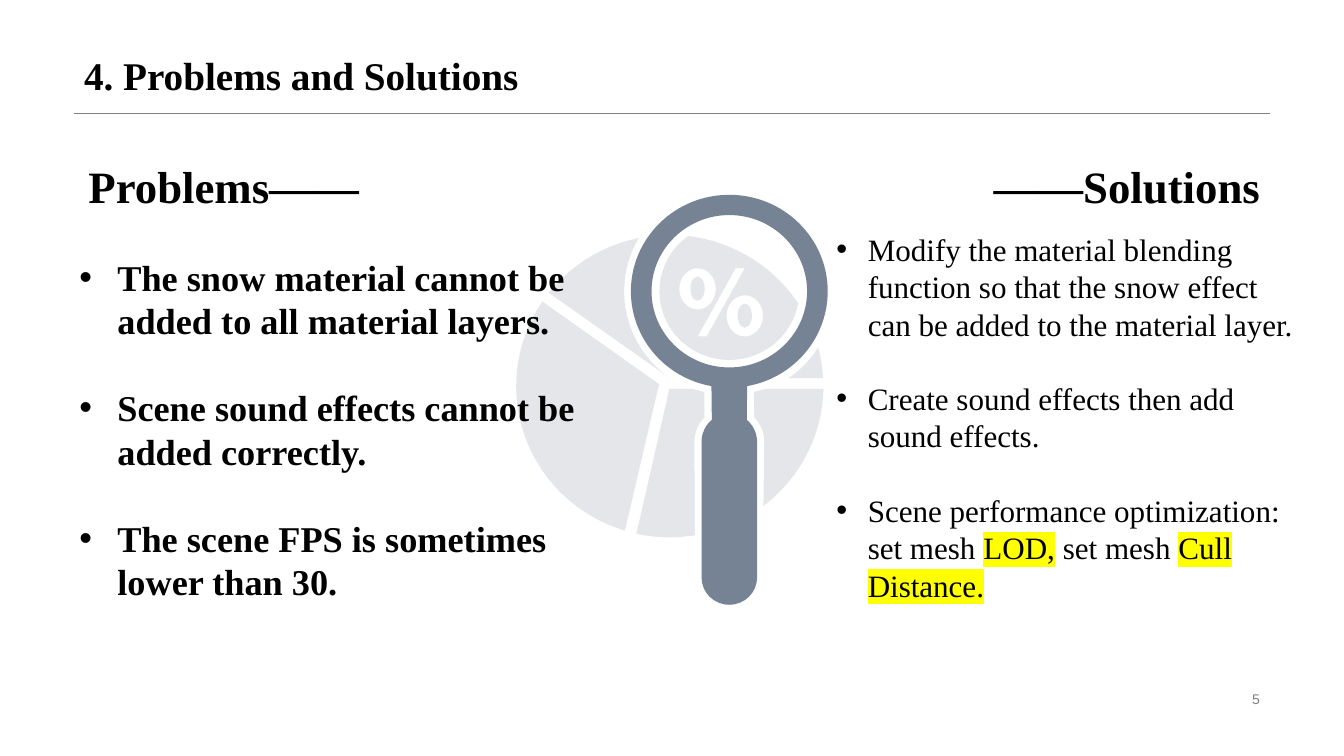
import math
from dataclasses import dataclass, field

import lxml.etree
import pptx
import pptx.dml.color
import pptx.enum.shapes
import pptx.enum.text
import pptx.oxml.ns
import pptx.util

Cm, Pt = pptx.util.Cm, pptx.util.Pt
RGB = pptx.dml.color.RGBColor
qn = pptx.oxml.ns.qn
ALIGN = pptx.enum.text.PP_ALIGN
ANCHOR = pptx.enum.text.MSO_ANCHOR
Point = tuple[float, float]
# A segment holds one point for a line, three for a Bézier curve
Segment = tuple[Point, ...]
Contour = list[Segment]


@dataclass(frozen=True)
class Theme:
    ink: str = "000000"
    grey: str = "808080"
    pale: str = "E4E6EA"
    slate: str = "768394"
    marker: str = "FFFF00"
    serif: str = "Times New Roman"
    sans: str = "Arial"
    title: float = 28
    heading: float = 32
    problem: float = 25.9
    solution: float = 22.2
    number: float = 10


THEME = Theme()


@dataclass(frozen=True)
class Run:
    text: str
    marked: bool = False


@dataclass(frozen=True)
class TextBlock:
    box: tuple[float, float, float, float]
    paragraphs: list[list[Run]]
    font: dict = field(default_factory=dict)
    para: dict = field(default_factory=dict)
    color: str = THEME.ink
    anchor: ANCHOR = ANCHOR.TOP
    indent: float = 0


@dataclass(frozen=True)
class Outline:
    fill: str
    contours: list[Contour]


@dataclass(frozen=True)
class Circle:
    x: float
    y: float
    rx: float
    ry: float

    def at(self, angle: float, pull: float = 0) -> Point:
        """Point at an angle, moved along the tangent by pull."""
        c, s = math.cos(angle), math.sin(angle)
        return self.x + self.rx * (c - pull * s), self.y + self.ry * (s + pull * c)

    def arc(self, start: float, end: float) -> Contour:
        """Curves from start to end, in degrees clockwise, split at each quadrant."""
        low, high = sorted((start, end))
        quadrants = [q for q in range(-360, 361, 90) if low < q < high]
        stops = [low, *quadrants, high]
        if start > end:
            stops.reverse()
        angles = [math.radians(a) for a in stops]
        curves: Contour = [(self.at(angles[0]),)]
        for a, b in zip(angles, angles[1:]):
            pull = 4 / 3 * math.tan((b - a) / 4)
            curves.append((self.at(a, pull), self.at(b, -pull), self.at(b)))
        return curves


def lines(*points: Point) -> Contour:
    return [(p,) for p in points]


def set_format(obj, values: dict) -> None:
    for name, value in values.items():
        setattr(obj, name, value)


def serif(size: float, bold: bool = True) -> dict:
    return {"name": THEME.serif, "size": Pt(size), "bold": bold}


def list_spacing(line: float) -> dict:
    return {"line_spacing": Pt(line), "space_after": Pt(line)}


def add_bullet(p, indent: float) -> None:
    pPr = p._p.get_or_add_pPr()
    pPr.set("marL", str(Cm(indent)))
    pPr.set("indent", str(-Cm(indent)))
    lxml.etree.SubElement(pPr, qn("a:buFont"), typeface=THEME.sans)
    lxml.etree.SubElement(pPr, qn("a:buChar"), char="•")


def highlight(r) -> None:
    mark = lxml.etree.Element(qn("a:highlight"))
    lxml.etree.SubElement(mark, qn("a:srgbClr"), val=THEME.marker)
    r._r.rPr.find(qn("a:solidFill")).addnext(mark)


def add_text(s, block: TextBlock) -> None:
    tf = s.shapes.add_textbox(*map(Cm, block.box)).text_frame
    set_format(tf, {"word_wrap": True, "vertical_anchor": block.anchor})
    for i, runs in enumerate(block.paragraphs):
        p = tf.add_paragraph() if i else tf.paragraphs[0]
        set_format(p, block.para)
        if block.indent:
            add_bullet(p, block.indent)
        for run in runs:
            r = p.add_run()
            r.text = run.text
            set_format(r.font, block.font)
            r.font.color.rgb = RGB.from_string(block.color)
            if run.marked:
                highlight(r)


def paint(sp, color: str) -> None:
    sp.shadow.inherit = False
    sp.fill.solid()
    sp.fill.fore_color.rgb = RGB.from_string(color)
    sp.line.fill.background()


def add_outline(s, outline: Outline) -> None:
    segments = [seg for contour in outline.contours for seg in contour[1:]]
    builder = None
    for contour in outline.contours:
        (x, y), *rest = [(x * 100, y * 100) for seg in contour for x, y in seg]
        if builder is None:
            builder = s.shapes.build_freeform(x, y, scale=Cm(0.01))
        else:
            builder.move_to(x, y)
        builder.add_line_segments(rest, close=True)
    sp = builder.convert_to_shape()
    paint(sp, outline.fill)
    # Join each three points of a curve into one Bézier command
    steps = iter(list(sp._element.iter(qn("a:lnTo"))))
    for segment in segments:
        first, *others = [next(steps) for _ in segment]
        if others:
            first.tag = qn("a:cubicBezTo")
            for step in others:
                first.append(step[0])
                step.getparent().remove(step)


# Circles that shape the pie chart and the magnifier
PIE = Circle(16.88, 9.73, 3.87, 3.81)
GAP = Circle(18.38, 7.34, 2.65, 2.65)
RIM = Circle(18.38, 7.34, 2.48, 2.43)
LENS = Circle(18.38, 7.34, 1.96, 1.92)
GLASS = Circle(18.38, 7.34, 1.76, 1.73)
SHOULDER = Circle(18.38, 11.13, 0.7, 0.71)
SHOULDER_GAP = Circle(18.38, 11.13, 0.88, 0.88)
HANDLE_END = Circle(18.38, 14.55, 0.7, 0.69)
PERCENT_RINGS = [Circle(17.58, 7.28, 0.46, 0.52), Circle(18.77, 7.96, 0.46, 0.52)]
PERCENT_SLASH = lines((17.58, 8.48), (18.54, 6.76), (18.77, 6.76), (17.81, 8.48))

OUTLINES = [
    # Pie slices
    Outline(THEME.pale, [PIE.arc(-3, -14.7) + GAP.arc(32.6, 55.8)]),
    Outline(THEME.pale, [PIE.arc(214, 107) + lines((16.61, 9.68))]),
    Outline(THEME.pale, [GAP.arc(125, 211) + PIE.arc(258.4, 218)]),
    Outline(THEME.pale, [lines((17.75, 9.88), (17.45, 9.8), (16.87, 9.8))
                         + PIE.arc(102.5, 80.7) + SHOULDER_GAP.arc(180, 224)]),
    Outline(THEME.pale, [lines((19, 9.88)) + SHOULDER_GAP.arc(316, 360)
                         + PIE.arc(52.4, 1) + lines((19.3, 9.8))]),
    # Magnifier
    Outline(THEME.slate, [RIM.arc(79.5, -259.5) + SHOULDER.arc(231, 180)
                          + HANDLE_END.arc(180, 0) + SHOULDER.arc(0, -51),
                          LENS.arc(0, 360)]),
    # Glass with the percent sign cut out
    Outline(THEME.pale, [GLASS.arc(233.6, 10.7) + PIE.arc(-32.8, -83),
                         *[ring.arc(0, 360) for ring in PERCENT_RINGS],
                         PERCENT_SLASH]),
]

TEXTS = [
    TextBlock((1.87, -0.23, 30.15, 2.84), [[Run("4. Problems and Solutions")]],
              serif(THEME.title), {"line_spacing": 0.9}, anchor=ANCHOR.BOTTOM),
    TextBlock((23.92, 17.32, 8.08, 0.58), [[Run("5")]],
              {"name": THEME.sans, "size": Pt(THEME.number)},
              {"alignment": ALIGN.RIGHT}, THEME.grey, ANCHOR.MIDDLE),
    TextBlock((1.98, 3.87, 10.57, 3.1), [[Run("Problems——")]], serif(THEME.heading)),
    TextBlock((21.44, 3.87, 10.57, 1.88), [[Run("——Solutions")]],
              serif(THEME.heading), {"alignment": ALIGN.RIGHT}),
    TextBlock((1.75, 6.3, 13.59, 9.63),
              [[Run("The snow material cannot be added to all material layers.")],
               [Run("Scene sound effects cannot be added correctly.")],
               [Run("The scene FPS is sometimes lower than 30.")]],
              serif(THEME.problem), list_spacing(31.1), indent=0.96),
    TextBlock((20.83, 5.68, 12.17, 8.81),
              [[Run("Modify the material blending function so that the snow effect "
                    "can be added to the material layer.")],
               [Run("Create sound effects then add sound effects.")],
               [Run("Scene performance optimization: set mesh "), Run("LOD,", True),
                Run(" set mesh "), Run("Cull Distance.", True)]],
              serif(THEME.solution, False), list_spacing(26.65), indent=0.79),
]


def main() -> None:
    prs = pptx.Presentation()
    set_format(prs, {"slide_width": Cm(33.87), "slide_height": Cm(19.05)})
    s = prs.slides.add_slide(prs.slide_layouts[6])

    # Rule under the title
    rule = s.shapes.add_connector(pptx.enum.shapes.MSO_CONNECTOR.STRAIGHT,
                                  Cm(1.87), Cm(2.85), Cm(32), Cm(2.85))
    rule.line.color.rgb = RGB.from_string(THEME.grey)
    rule.line.width = Pt(0.25)
    lxml.etree.SubElement(rule._element.spPr, qn("a:effectLst"))

    # Illustration
    for outline in OUTLINES:
        add_outline(s, outline)
    for ring in PERCENT_RINGS:
        box = (ring.x - 0.18, ring.y - 0.31, 0.36, 0.61)
        paint(s.shapes.add_shape(pptx.enum.shapes.MSO_SHAPE.OVAL, *map(Cm, box)),
              THEME.pale)

    # Texts
    for block in TEXTS:
        add_text(s, block)
    prs.save("out.pptx")


if __name__ == "__main__":
    main()
